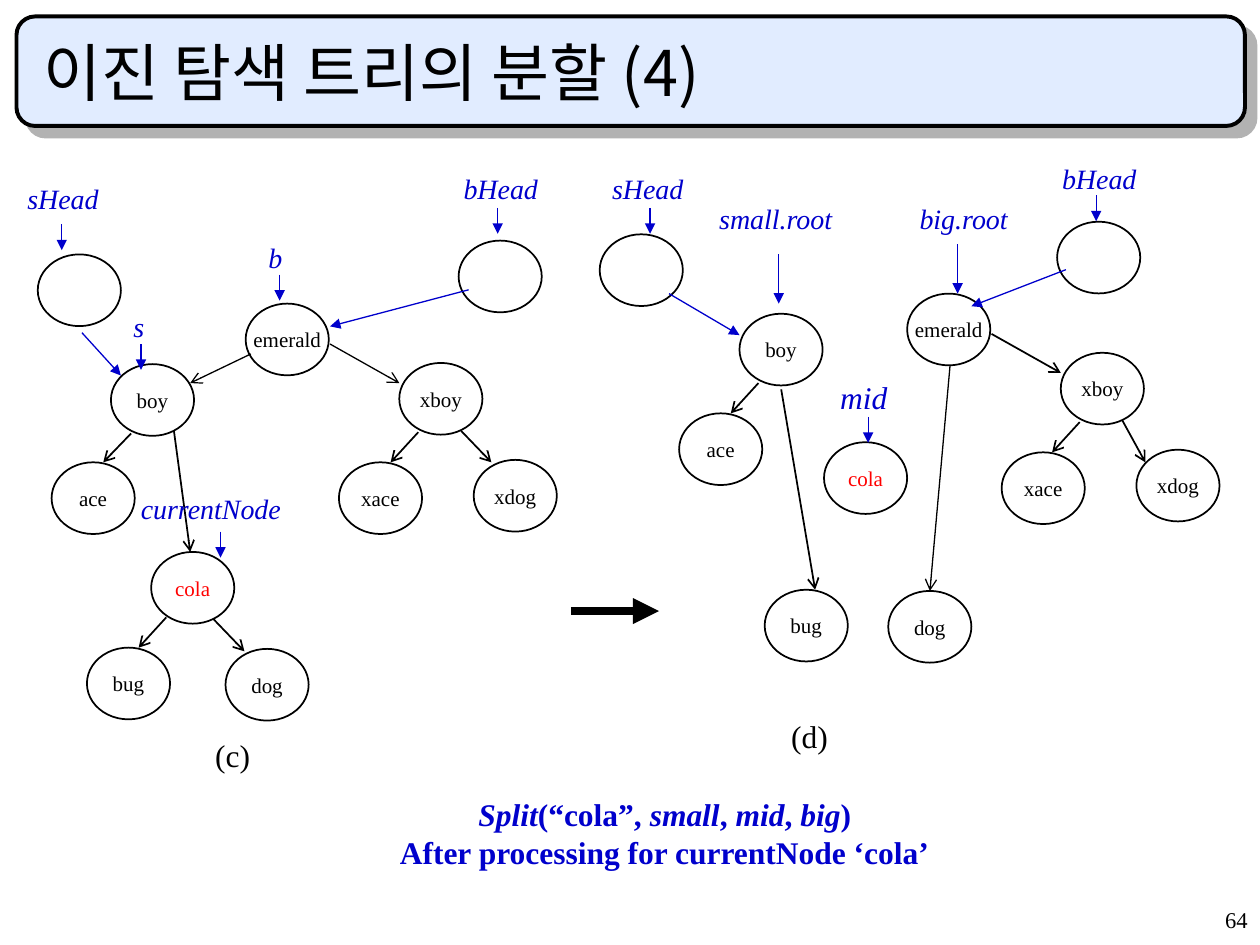
from lxml.etree import SubElement
from pptx import Presentation
from pptx.dml.color import RGBColor
from pptx.enum.shapes import MSO_CONNECTOR, MSO_SHAPE
from pptx.enum.text import MSO_ANCHOR, PP_ALIGN
from pptx.oxml.ns import qn
from pptx.util import Pt

HUES = {"ink": "000000", "blue": "0000CC", "red": "FF0000",
        "panel": "E1ECFF", "shade": "B2B2B2"}
SERIF = "Times New Roman"
SANS = "Noto Sans CJK KR"
NODE_W, NODE_H = 47.5, 41
SHORT, LONG = 14.8, 28.1

NODES = [
    ("", 21.6, 145.4), ("", 262.1, 137.5), ("emerald", 140.4, 173.5),
    ("boy", 63.4, 208.1), ("ace", 29.5, 264.2), ("cola", 86.4, 315.4),
    ("bug", 49.7, 370.1), ("dog", 128.9, 370.8), ("xboy", 228.2, 207.4),
    ("xace", 193.7, 264.2), ("xdog", 270.7, 262.8),
    ("", 342.7, 133.9), ("", 604.1, 126.7), ("emerald", 518.4, 167.8),
    ("boy", 422.6, 179.3), ("ace", 388.1, 236.2), ("cola", 470.9, 252.7),
    ("bug", 437, 337), ("dog", 507.6, 337.7), ("xboy", 606.2, 201.6),
    ("xace", 572.4, 258.5), ("xdog", 649.4, 257),
]
EDGES = [
    (74.9, 247.7, 59, 264.2), (99.4, 246.2, 108.7, 315.4),
    (95, 352.8, 79.2, 370.1), (121.7, 353.5, 139.7, 372.2),
    (239, 247, 223.2, 264.2), (263.5, 246.2, 280.8, 264.2),
    (433.4, 218.9, 417.6, 236.2), (446.4, 222.5, 465.8, 337),
    (566.6, 190.8, 606.2, 213.1), (617, 241.2, 601.2, 258.5),
    (641.5, 240.5, 654.5, 264.2),
]
THIN = [
    (143.3, 202.3, 108.7, 218.9), (188.6, 196.6, 228.2, 218.9),
    (542.9, 208.8, 531.4, 337.7),
]
LINKS = [
    (46.8, 190.1, 69.1, 214.6), (267.8, 165.6, 188.6, 186.5),
    (382.3, 167.8, 422.6, 191.5), (609.1, 154.1, 555.1, 175),
]
DROPS = [
    (35.3, 128.2, SHORT), (284.4, 118.8, SHORT), (159.8, 157, SHORT),
    (80.6, 196.6, SHORT), (126, 303.8, SHORT), (371.5, 118.8, SHORT),
    (626.4, 111.6, SHORT), (496.1, 238.3, SHORT),
    (445, 145.4, LONG), (547.2, 139.7, LONG),
]
LABELS = [
    ("sHead", 8.6, 100.1, 72, 16), ("bHead", 257.8, 94.3, 72, 16),
    ("b", 146.2, 133.9, 25.2, 16), ("s", 69.1, 173.5, 25.2, 16),
    ("currentNode", 73.4, 277.2, 103.7, 16),
    ("sHead", 342.7, 94.3, 67.7, 16), ("bHead", 599.8, 88.6, 72, 16),
    ("small.root", 403.9, 111.6, 81.4, 16),
    ("big.root", 518.4, 111.6, 67.7, 16), ("mid", 473, 212.4, 51.1, 18),
]
MARKS = [("(c)", 115.9, 416.9, 34.6), ("(d)", 445, 406.1, 35.3)]
SPLIT = [("Split", True), ("(“cola”, ", False), ("small", True),
         (", ", False), ("mid", True), (", ", False), ("big", True),
         (")", False)]
AFTER = [("After processing for currentNode ‘cola’", False)]


def tint(name):
    return RGBColor.from_string(HUES[name])


class Board:
    def __init__(self, slide):
        self.slide = slide
        self.shapes = slide.shapes

    def put_run(self, para, text, size, hue="ink", bold=False, slant=False,
                face=SERIF):
        run = para.add_run()
        run.text = text
        font = run.font
        font.size, font.name = Pt(size), face
        font.bold, font.italic = bold, slant
        font.color.rgb = tint(hue)
        if face == SANS:
            SubElement(font._element, qn("a:ea")).set("typeface", face)

    def text(self, x, y, w, h, lines, size, hue="ink", bold=False,
             align=PP_ALIGN.LEFT, anchor=MSO_ANCHOR.TOP, face=SERIF,
             wrap=True, pitch=None):
        frame = self.shapes.add_textbox(Pt(x), Pt(y), Pt(w), Pt(h)).text_frame
        frame.word_wrap = wrap
        frame.vertical_anchor = anchor
        for i, runs in enumerate(lines):
            para = frame.add_paragraph() if i else frame.paragraphs[0]
            para.alignment = align
            para.line_spacing = pitch
            for words, slant in runs:
                self.put_run(para, words, size, hue, bold, slant, face)

    def panel(self, x, y, w, h):
        box = self.shapes.add_shape(MSO_SHAPE.ROUNDED_RECTANGLE,
                                    Pt(x), Pt(y), Pt(w), Pt(h))
        box.adjustments[0] = 0.17
        box.fill.solid()
        box.fill.fore_color.rgb = tint("panel")
        box.line.color.rgb = tint("ink")
        box.line.width = Pt(2.25)
        box.shadow.inherit = False
        glow = SubElement(box._element.spPr.find(qn("a:effectLst")),
                          qn("a:outerShdw"), blurRad="0",
                          dist=str(Pt(8.5)), dir=str(45 * 60000),
                          algn="ctr", rotWithShape="0")
        SubElement(glow, qn("a:srgbClr"), val=HUES["shade"])

    def node(self, text, x, y):
        oval = self.shapes.add_shape(MSO_SHAPE.OVAL, Pt(x), Pt(y),
                                     Pt(NODE_W), Pt(NODE_H))
        oval.shadow.inherit = False
        oval.fill.background()
        oval.line.color.rgb = tint("ink")
        oval.line.width = Pt(1)
        if text:
            frame = oval.text_frame
            frame.word_wrap = False
            frame.vertical_anchor = MSO_ANCHOR.MIDDLE
            para = frame.paragraphs[0]
            para.alignment = PP_ALIGN.CENTER
            self.put_run(para, text, 12, "red" if text == "cola" else "ink")

    def arrow(self, x1, y1, x2, y2, hue="ink", width=1, head="arrow"):
        line = self.shapes.add_connector(MSO_CONNECTOR.STRAIGHT,
                                         Pt(x1), Pt(y1), Pt(x2), Pt(y2))
        line.line.color.rgb = tint(hue)
        line.line.width = Pt(width)
        props = line._element.spPr
        SubElement(props.find(qn("a:ln")), qn("a:tailEnd"), type=head)
        SubElement(props, qn("a:effectLst"))


def main():
    deck = Presentation()
    deck.slide_width, deck.slide_height = Pt(720), Pt(540)
    board = Board(deck.slides.add_slide(deck.slide_layouts[6]))

    board.panel(9.4, 9.4, 702, 62.6)
    board.text(18, 18, 678, 48, [[("이진 탐색 트리의 분할 (4)", False)]], 36,
               anchor=MSO_ANCHOR.BOTTOM, face=SANS)
    for node in NODES:
        board.node(*node)
    for edge in EDGES:
        board.arrow(*edge)
    for edge in THIN:
        board.arrow(*edge, width=0.75)
    for link in LINKS + [(x, y, x, y + size) for x, y, size in DROPS]:
        board.arrow(*link, hue="blue", width=0.75, head="triangle")
    board.arrow(326.2, 349.2, 376.6, 349.2, width=5, head="triangle")
    for text, x, y, w, size in LABELS:
        board.text(x, y, w, 26.6, [[(text, True)]], size, "blue")
    for text, x, y, w in MARKS:
        board.text(x, y, w, 28.8, [[(text, False)]], 18, wrap=False)
    board.text(212.4, 450.7, 334.8, 50.4, [SPLIT, AFTER], 18, "blue",
               bold=True, align=PP_ALIGN.CENTER)
    board.text(570.2, 516.2, 149.8, 23.8, [[("64", False)]], 12.9,
               align=PP_ALIGN.RIGHT, pitch=0.9)
    deck.save("out.pptx")


if __name__ == "__main__":
    main()
